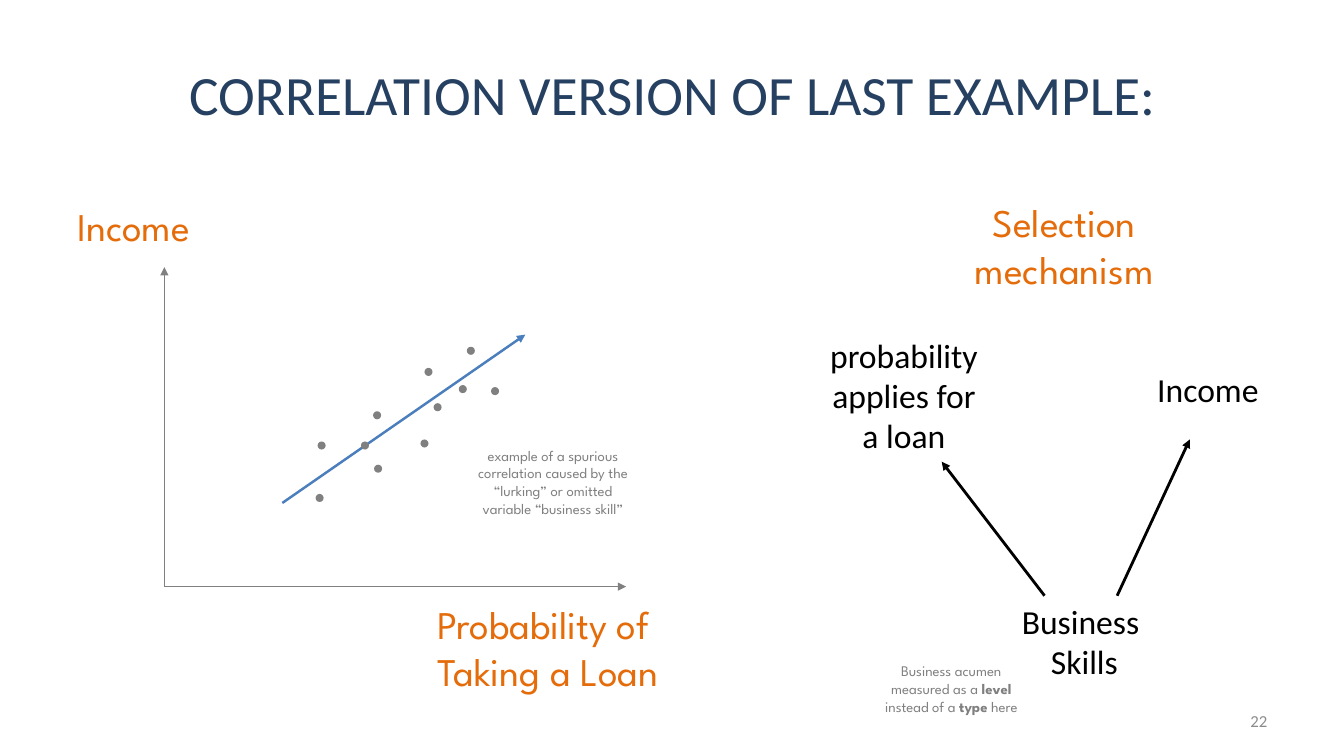
from lxml.etree import SubElement
from pptx import Presentation
from pptx.dml.color import RGBColor
from pptx.enum.shapes import MSO_CONNECTOR, MSO_SHAPE
from pptx.enum.text import MSO_ANCHOR, MSO_AUTO_SIZE, PP_ALIGN
from pptx.oxml.ns import qn
from pptx.util import Inches, Pt

GREY, ORANGE, BLACK, WHITE = "808080", "E46C0A", "000000", "FFFFFF"
BLUE, NAVY, PALE_GREY = "4B7EBC", "254061", "8C8C8C"
DOT_SIZE = 0.08
DOTS = [
    (3.13, 4.9), (3.15, 4.38), (3.71, 4.61), (3.7, 4.08), (3.58, 4.38), (4.21, 3.65),
    (4.17, 4.36), (4.3, 4), (4.55, 3.82), (4.63, 3.44), (4.87, 3.84),
]


def color(value):
    """Turn a hex string into a colour."""
    return RGBColor.from_string(value)


def set_formats(target, formats):
    """Set every attribute named in a dict of format values."""
    for name, value in formats.items():
        setattr(target, name, value)


class SlideBuilder:
    """Holds the text styles and the slide being built."""

    styles = {
        "title": ("Calibri", 39.6, NAVY),
        "heading": ("League Spartan", 28, ORANGE),
        "label": ("Calibri", 24, BLACK),
        "note": ("League Spartan", 10.5, GREY),
        "number": ("Calibri", 12, PALE_GREY),
    }

    def __init__(self, slide):
        """Keep the current slide."""
        self.slide = slide

    def fill_text(self, shape, lines, style, alignment, frame_formats):
        """Fill a shape with lines, each a list of (text, bold) runs."""
        set_formats(shape.text_frame, frame_formats)
        name, size, hex_color = self.styles[style]
        paragraph = shape.text_frame.paragraphs[0]
        paragraph.alignment = alignment
        for index, line in enumerate(lines):
            if index:
                paragraph.add_line_break()
            for text, bold in line:
                run = paragraph.add_run()
                run.text = text
                set_formats(run.font, {"name": name, "size": Pt(size), "bold": bold})
                run.font.color.rgb = color(hex_color)

    def title(self, text, box):
        """Place and format the title placeholder."""
        shape = self.slide.shapes.title
        set_formats(shape, dict(zip(("left", "top", "width", "height"), map(Inches, box))))
        formats = {"word_wrap": True, "auto_size": MSO_AUTO_SIZE.NONE,
                   "vertical_anchor": MSO_ANCHOR.MIDDLE}
        self.fill_text(shape, [[(text, False)]], "title", PP_ALIGN.CENTER, formats)

    def text(self, lines, box, style, alignment=PP_ALIGN.CENTER, wrap=False,
             anchor=MSO_ANCHOR.TOP, auto_size=MSO_AUTO_SIZE.SHAPE_TO_FIT_TEXT):
        """Add a text box with plain lines."""
        shape = self.slide.shapes.add_textbox(*map(Inches, box))
        formats = {"word_wrap": wrap, "auto_size": auto_size, "vertical_anchor": anchor}
        self.fill_text(shape, [[(line, False)] for line in lines], style, alignment, formats)

    def shape(self, kind, box, fill):
        """Add a filled preset shape without outline or shadow."""
        shape = self.slide.shapes.add_shape(kind, *map(Inches, box))
        shape.shadow.inherit = False
        shape.fill.solid()
        shape.fill.fore_color.rgb = color(fill)
        shape.line.fill.background()
        return shape

    def note(self, runs, box):
        """Add a small annotation on a white rectangle."""
        shape = self.shape(MSO_SHAPE.RECTANGLE, box, WHITE)
        formats = {"word_wrap": True, "auto_size": MSO_AUTO_SIZE.SHAPE_TO_FIT_TEXT,
                   "vertical_anchor": MSO_ANCHOR.TOP}
        self.fill_text(shape, [runs], "note", PP_ALIGN.CENTER, formats)

    def arrow(self, start, end, hex_color, width):
        """Add a straight arrow pointing at its end."""
        connector = self.slide.shapes.add_connector(
            MSO_CONNECTOR.STRAIGHT, *map(Inches, start + end))
        connector.line.color.rgb = color(hex_color)
        connector.line.width = Pt(width)
        properties = connector._element.spPr
        SubElement(properties.find(qn("a:ln")), qn("a:tailEnd"), type="triangle")
        SubElement(properties, qn("a:effectLst"))


def main():
    """Build and save the presentation."""
    presentation = Presentation()
    set_formats(presentation, {"slide_width": Inches(13.33), "slide_height": Inches(7.5)})
    builder = SlideBuilder(presentation.slides.add_slide(presentation.slide_layouts[5]))

    builder.title("CORRELATION VERSION OF LAST EXAMPLE:", (0.67, 0.3, 12, 1.25))
    builder.text(["22"], (9.56, 6.95, 3.11, 0.4), "number", PP_ALIGN.RIGHT, wrap=True,
                 anchor=MSO_ANCHOR.MIDDLE, auto_size=MSO_AUTO_SIZE.NONE)

    chart_origin = (1.63, 5.82)
    for axis_end in ((6.21, 5.82), (1.63, 2.65)):
        builder.arrow(chart_origin, axis_end, GREY, 0.75)
    builder.arrow((2.8, 4.99), (5.21, 3.32), BLUE, 1.75)
    builder.text(["Probability of ", "Taking a Loan"], (4.01, 5.91, 2.85, 1.04), "heading")
    for left, top in DOTS:
        builder.shape(MSO_SHAPE.OVAL, (left, top, DOT_SIZE, DOT_SIZE), GREY)
    builder.text(["Income"], (0.67, 1.96, 1.67, 0.57), "heading", PP_ALIGN.LEFT)

    builder.text(["probability applies for a loan"], (8.12, 3.27, 1.69, 1.31), "label", wrap=True)
    builder.text(["Income"], (11.37, 3.61, 1.22, 0.5), "label")
    builder.text(["Business ", "Skills"], (10.03, 5.91, 1.45, 0.91), "label")
    for start, end in (((11.08, 5.91), (11.8, 4.36)), ((10.36, 5.91), (9.34, 4.58))):
        builder.arrow(start, end, BLACK, 2)
    builder.text(["Selection", "mechanism"], (9.34, 1.92, 2.43, 1.04), "heading")

    builder.note([("Business acumen measured as a ", False), ("level ", True),
                  ("instead of a ", False), ("type", True), (" here", False)],
                 (8.64, 6.52, 1.59, 0.81))
    builder.note([("example of a spurious correlation caused by the “lurking” "
                   "or omitted variable “business skill”", False)],
                 (4.58, 4.38, 1.81, 0.98))
    presentation.save("out.pptx")


if __name__ == "__main__":
    main()
